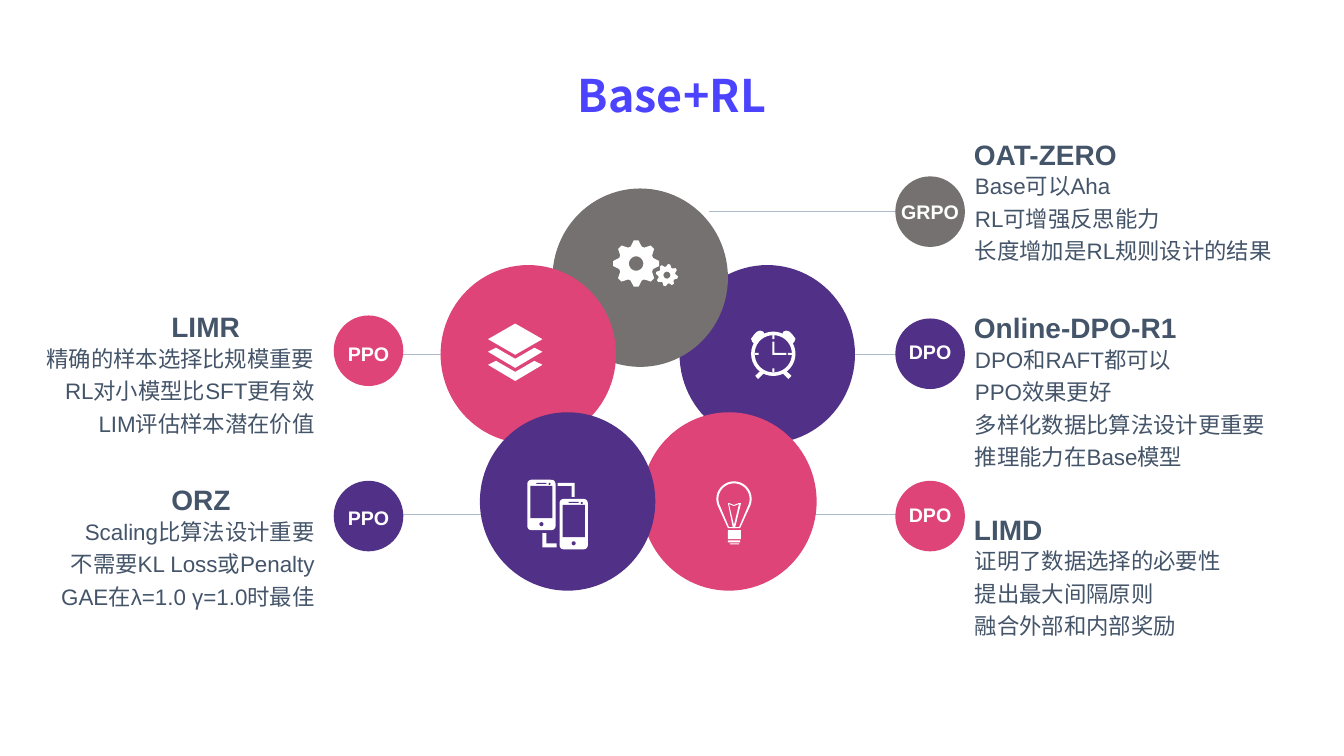
from math import cos, sin, radians
from lxml import etree
from pptx import Presentation
from pptx.dml.color import RGBColor
from pptx.enum.shapes import MSO_CONNECTOR, MSO_SHAPE
from pptx.enum.text import PP_ALIGN
from pptx.oxml.ns import qn
from pptx.util import Inches, Pt

LEFT, CENTER, RIGHT = PP_ALIGN.LEFT, PP_ALIGN.CENTER, PP_ALIGN.RIGHT
OVAL, RECT, ROUND = MSO_SHAPE.OVAL, MSO_SHAPE.RECTANGLE, MSO_SHAPE.ROUNDED_RECTANGLE
COLORS = {"purple": "513087", "gray": "767171", "pink": "DE4477", "white": "FFFFFF",
          "text": "445469", "line": "ADBACA", "title": "4C43FF", "title_end": "00B0F0"}

# Content, lengths in inches
TITLE = "Base+RL"
LINES = [(3.51, 4.49, 3.52), (3.51, 4.83, 5.1), (7.03, 9.37, 2.1),
         (8.39, 9.37, 3.52), (8, 9.37, 5.1)]  # x from, x to, y
CIRCLES = [(6.74, 2.63, "purple"), (5.48, 1.87, "gray"), (4.37, 2.63, "pink"),
           (6.36, 4.09, "pink"), (4.76, 4.09, "purple")]
BADGES = [("DPO", 8.88, 3.16, 3.34, "purple"), ("DPO", 8.88, 4.77, 4.96, "pink"),
          ("GRPO", 8.88, 1.75, 1.95, "gray"), ("PPO", 3.31, 4.77, 4.99, "purple"),
          ("PPO", 3.31, 3.13, 3.36, "pink")]  # label, left, top, label top, colour
METHODS = [
    ("LIMR", RIGHT, 3.07, ["精确的样本选择比规模重要", "RL对小模型比SFT更有效", "LIM评估样本潜在价值"]),
    ("ORZ", RIGHT, 4.79, ["Scaling比算法设计重要", "不需要KL Loss或Penalty", "GAE在λ=1.0 γ=1.0时最佳"]),
    ("OAT-ZERO", LEFT, 1.36, ["Base可以Aha", "RL可增强反思能力", "长度增加是RL规则设计的结果"]),
    ("Online-DPO-R1", LEFT, 3.08,
     ["DPO和RAFT都可以", "PPO效果更好", "多样化数据比算法设计更重要", "推理能力在Base模型"]),
    ("LIMD", LEFT, 5.08, ["证明了数据选择的必要性", "提出最大间隔原则", "融合外部和内部奖励"]),
]
COLUMNS = {RIGHT: (1.7, 1.42, 0.41, 2.71), LEFT: (9.66, 2.33, 9.67, 3.23)}

# Icon geometry
GEARS = [(6.31, 2.615, 0.23, 0), (6.615, 2.73, 0.11, 12)]  # centre, radius, turn
PHONES = [(5.23, 4.76), (5.55, 4.95)]
PHONE_LINKS = [
    [(5.53, 4.79), (5.7, 4.79), (5.7, 4.93), (5.67, 4.93), (5.67, 4.82), (5.53, 4.82)],
    [(5.38, 5.29), (5.42, 5.29), (5.42, 5.39), (5.52, 5.39), (5.52, 5.43), (5.38, 5.43)]]
BULB = (7.28, 4.95)
FILAMENT = [[(7.22, 4.99), (7.23, 4.99), (7.28, 5.01), (7.33, 4.99), (7.35, 4.99),
             (7.29, 5.24), (7.27, 5.24)],
            [(7.23, 5), (7.28, 5.02), (7.33, 5), (7.28, 5.21)]]
BULB_BASE = [(7.22, 5.26, 0.13, 0.09), (7.22, 5.36, 0.12, 0.02), (7.24, 5.39, 0.09, 0.01)]
CLOCK = (7.67, 3.51)
BELL = [(-0.09, -0.2), (-0.1, -0.22), (-0.13, -0.23), (-0.16, -0.22), (-0.19, -0.19),
        (-0.22, -0.15), (-0.21, -0.12), (-0.19, -0.1)]
FOOT = [(-0.13, 0.17), (-0.18, 0.22), (-0.15, 0.25), (-0.09, 0.19)]
HANDS = [(7.66, 3.39), (7.68, 3.39), (7.68, 3.5), (7.8, 3.5), (7.8, 3.52), (7.66, 3.52)]
LAYERS_X = 5.11

prs = Presentation()
prs.slide_width, prs.slide_height = Inches(13.33), Inches(7.5)
s = prs.slides.add_slide(prs.slide_layouts[6])


def rgb(name):
    return RGBColor.from_string(COLORS[name])


def paint(sp, color):
    sp.shadow.inherit = False
    sp.fill.solid()
    sp.fill.fore_color.rgb = rgb(color)
    sp.line.fill.background()


def shape(kind, x, y, w, h, color="white"):
    sp = s.shapes.add_shape(kind, *map(Inches, (x, y, w, h)))
    paint(sp, color)
    return sp


def outline(*contours):
    """White shape; a second contour cuts a hole."""
    rings = [[(Inches(x), Inches(y)) for x, y in c] for c in contours]
    fb = s.shapes.build_freeform(*rings[0][0], scale=1.0)
    fb.add_line_segments(rings[0][1:], close=True)
    for ring in rings[1:]:
        fb.move_to(*ring[0])
        fb.add_line_segments(ring[1:], close=True)
    paint(fb.convert_to_shape(), "white")


def polar(cx, cy, r, deg):
    return cx + r * cos(radians(deg)), cy + r * sin(radians(deg))


def arc(cx, cy, r, start=0, stop=350):
    return [polar(cx, cy, r, a) for a in range(start, stop + 1, 10)]


def text(lines, x, y, w, h, size=16, font="Arial", color="text", bold=False,
         align=LEFT, before=4, spacing=None, inset=(0, 0), wrap=True):
    tf = s.shapes.add_textbox(*map(Inches, (x, y, w, h))).text_frame
    tf.word_wrap = wrap
    tf.margin_left = tf.margin_right = Inches(inset[0])
    tf.margin_top = tf.margin_bottom = Inches(inset[1])
    for i, line in enumerate(lines):
        p = tf.add_paragraph() if i else tf.paragraphs[0]
        p.alignment, p.space_before, p.line_spacing = align, Pt(before), spacing
        r = p.add_run()
        r.text = line
        r.font.size, r.font.name, r.font.bold = Pt(size), font, bold
        r.font.color.rgb = rgb(color)
    return tf


# Title with gradient lettering
tf = text([TITLE], 0, 0.52, 13.33, 0.75, size=32, font="Noto Sans CJK SC", color="title",
          bold=True, align=CENTER, before=0, spacing=1.2, inset=(0.1, 0.05))
fill = tf.paragraphs[0].runs[0].font.fill
fill.gradient()
fill.gradient_angle = 310
for stop, name in zip(fill.gradient_stops, ("title", "title_end")):
    stop.color.rgb = rgb(name)

# Connecting lines and large circles
for x1, x2, y in LINES:
    c = s.shapes.add_connector(MSO_CONNECTOR.STRAIGHT, *map(Inches, (x1, y, x2, y)))
    c.line.color.rgb, c.line.width = rgb("line"), Pt(0.5)
    etree.SubElement(c._element.spPr, qn("a:effectLst"))
for x, y, color in CIRCLES:
    shape(OVAL, x, y, 1.74, 1.77, color)

# Gears
for cx, cy, r, turn in GEARS:
    teeth = [polar(cx, cy, r * k, 45 * i + turn + a) for i in range(8)
             for a, k in ((-18, 0.77), (-6, 1), (6, 1), (18, 0.77))]
    outline(teeth, arc(cx, cy, r * 0.31))

# Phones
for x, y in PHONES:
    shape(ROUND, x, y, 0.28, 0.5).adjustments[0] = 0.14
    shape(RECT, x + 0.03, y + 0.06, 0.22, 0.32, "purple")
    shape(RECT, x + 0.09, y + 0.03, 0.1, 0.01, "purple")
    shape(OVAL, x + 0.21, y + 0.03, 0.02, 0.02, "purple")
    shape(OVAL, x + 0.12, y + 0.42, 0.04, 0.04, "purple")
for link in PHONE_LINKS:
    outline(link)

# Light bulb
cx, cy = BULB
outline(*[arc(cx, cy, r, 160, 380) + [(cx + half, bottom), (cx - half, bottom)]
          for r, half, bottom in ((0.175, 0.06, 5.24), (0.155, 0.05, 5.23))])
outline(*FILAMENT)
for box in BULB_BASE:
    shape(RECT, *box)

# Alarm clock
cx, cy = CLOCK
outline(arc(cx, cy, 0.22), arc(cx, cy, 0.185))
for side in (1, -1):
    for part in (BELL, FOOT):
        outline([(cx + side * dx, cy + dy) for dx, dy in part])
    shape(RECT, cx + side * 0.165 - 0.02, cy - 0.01, 0.04, 0.02)
    shape(RECT, cx - 0.01, cy + side * 0.165 - 0.02, 0.02, 0.04)
outline(HANDS)

# Stacked layers
for y in (3.45, 3.58):
    outline([(LAYERS_X + dx, y + dy) for dx, dy in
             ((0, 0.11), (-0.19, 0), (-0.27, 0.04), (0, 0.2), (0.27, 0.04), (0.19, 0))])
shape(MSO_SHAPE.DIAMOND, LAYERS_X - 0.27, 3.21, 0.54, 0.31)

# Algorithm badges
for label, x, y, label_y, color in BADGES:
    shape(OVAL, x, y, 0.69, 0.7, color)
    text([label], x, label_y, 0.69, 0.29, size=14, color="white", bold=True,
         align=CENTER, before=0, inset=(0.05, 0.03), wrap=False)

# Method notes
for name, align, y, notes in METHODS:
    head_x, head_w, x, w = COLUMNS[align]
    text([name], head_x, y, head_w, 0.34, size=20, bold=True)
    text(notes, x, y + 0.35, w, 0.31 * len(notes), align=align)

prs.save("out.pptx")
